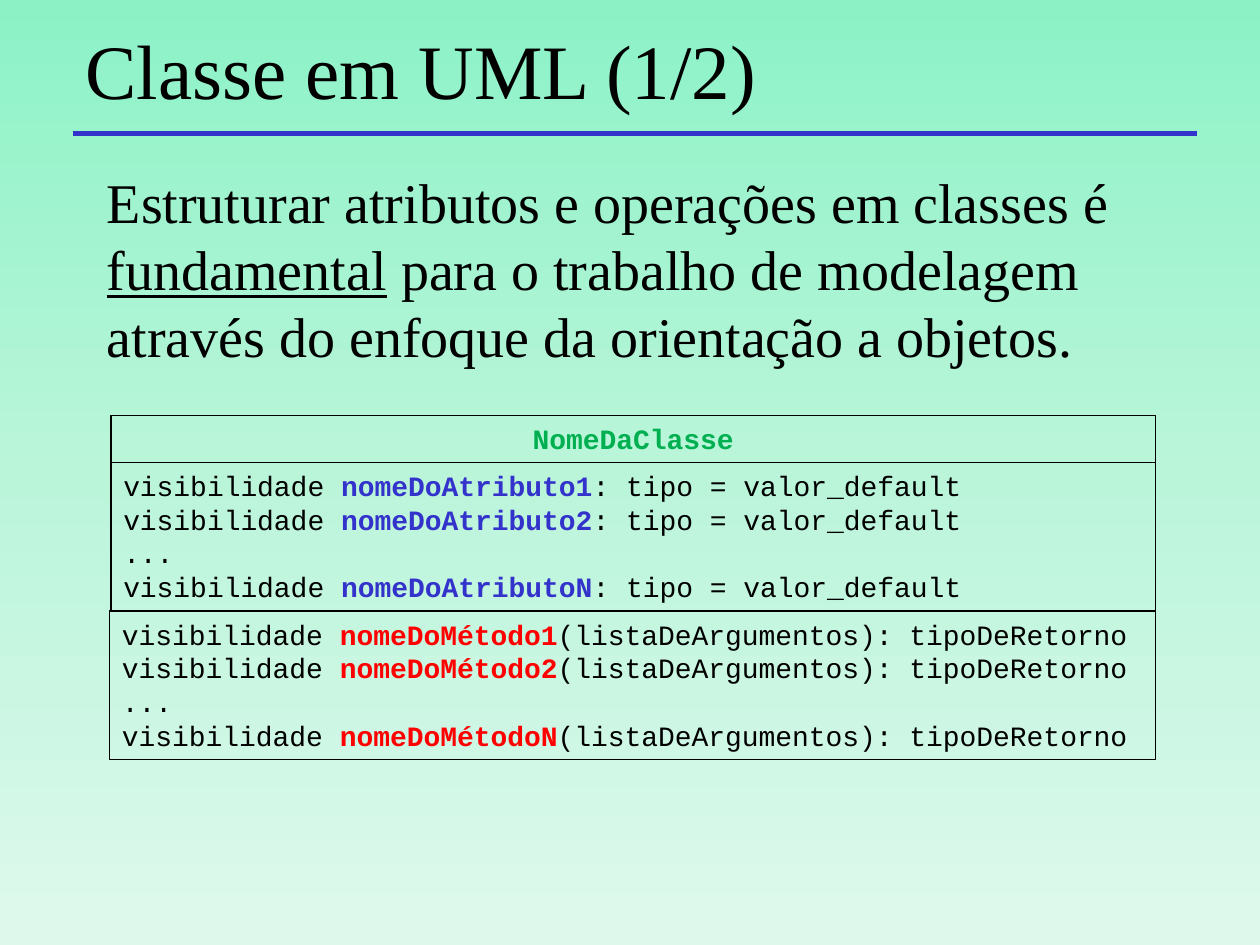
import copy
from dataclasses import dataclass

import pptx
import pptx.util
from pptx.dml.color import RGBColor
from pptx.enum.shapes import MSO_CONNECTOR, MSO_SHAPE
from pptx.enum.text import MSO_ANCHOR, PP_ALIGN
from pptx.oxml.ns import qn
from lxml import etree


@dataclass(frozen=True)
class Theme:
    serif: str = "Times New Roman"
    mono: str = "Courier New"
    title: int = 44
    body: int = 32
    code: int = 16
    ink: str = "000000"
    blue: str = "3333CC"
    green: str = "00B050"
    red: str = "FF0000"
    gradient: tuple = ((0, "8CF2C6"), (0.5, "BAF5DA"), (1, "DEF9EC"))


class Deck:
    """Places elements on a grid of 100 columns by 75 rows."""

    COLS, ROWS = 100, 75

    def __init__(self, theme):
        self.theme = theme
        self.prs = pptx.Presentation()
        self.prs.slide_width = pptx.util.Inches(10)
        self.prs.slide_height = pptx.util.Inches(7.5)
        self.s = None

    def x(self, cols):
        return round(self.prs.slide_width * cols / self.COLS)

    def y(self, rows):
        return round(self.prs.slide_height * rows / self.ROWS)

    def box(self, left, top, width, height):
        return self.x(left), self.y(top), self.x(width), self.y(height)

    def slide(self):
        self.s = self.prs.slides.add_slide(self.prs.slide_layouts[6])
        fill = self.s.background.fill
        fill.gradient()
        fill.gradient_angle = 270
        stops = fill._fill._gradFill.find(qn("a:gsLst"))
        stops.append(copy.deepcopy(stops[-1]))
        for stop, (position, color) in zip(fill.gradient_stops, self.theme.gradient):
            stop.position = position
            stop.color.rgb = RGBColor.from_string(color)

    def rule(self, left, right, row, color, width):
        line = self.s.shapes.add_connector(
            MSO_CONNECTOR.STRAIGHT, self.x(left), self.y(row), self.x(right), self.y(row))
        line.line.color.rgb = RGBColor.from_string(color)
        line.line.width = pptx.util.Pt(width)
        etree.SubElement(line._element.spPr, qn("a:effectLst"))

    def fill_text(self, sp, paragraphs, base, align=PP_ALIGN.LEFT, **frame):
        """Each paragraph is a list of (text, format values) runs."""
        tf = sp.text_frame
        for name, value in {"word_wrap": True, **frame}.items():
            setattr(tf, name, value)
        for i, runs in enumerate(paragraphs):
            p = tf.paragraphs[0] if i == 0 else tf.add_paragraph()
            p.alignment = align
            for text, extra in runs:
                r = p.add_run()
                r.text = text
                values = {"color": self.theme.ink, **base, **extra}
                r.font.color.rgb = RGBColor.from_string(values.pop("color"))
                for name, value in values.items():
                    setattr(r.font, name, value)

    def text(self, place, paragraphs, size, **frame):
        sp = self.s.shapes.add_textbox(*self.box(*place))
        base = {"name": self.theme.serif, "size": pptx.util.Pt(size)}
        self.fill_text(sp, paragraphs, base, **frame)

    def compartment(self, group, place, paragraphs, **frame):
        sp = group.shapes.add_shape(MSO_SHAPE.RECTANGLE, *self.box(*place))
        sp.shadow.inherit = False
        sp.fill.background()
        sp.line.color.rgb = RGBColor.from_string(self.theme.ink)
        sp.line.width = pptx.util.Pt(0.75)
        base = {"name": self.theme.mono, "size": pptx.util.Pt(self.theme.code)}
        self.fill_text(sp, paragraphs, base, vertical_anchor=MSO_ANCHOR.TOP, **frame)


def members(stem, color, ending):
    """Lines for members 1, 2, ... N of a class."""
    lines = [[("visibilidade ", {}),
              (stem + suffix, {"color": color, "bold": True}),
              (ending, {})] for suffix in "12N"]
    lines.insert(2, [("...", {})])
    return lines


def main():
    theme = Theme()
    deck = Deck(theme)
    deck.slide()

    # Title and its rule
    deck.rule(5.8, 95, 10.6, theme.blue, 3)
    deck.text((5.8, 1.7, 85, 7.5), [[("Classe em UML (1/2)", {})]], theme.title,
              vertical_anchor=MSO_ANCHOR.MIDDLE)

    # UML class: name, attributes, methods
    uml = deck.s.shapes.add_group_shape()
    left, top, width, name_rows, member_rows = 8.8, 33, 82.9, 3.7, 11.8
    deck.compartment(uml, (left, top, width, name_rows),
                     [[("NomeDaClasse", {"color": theme.green, "bold": True})]],
                     align=PP_ALIGN.CENTER)
    top += name_rows
    deck.compartment(uml, (left, top, width, member_rows),
                     members("nomeDoAtributo", theme.blue, ": tipo = valor_default"))
    top += member_rows
    deck.compartment(uml, (left - 0.1, top, width + 0.1, member_rows),
                     members("nomeDoMétodo", theme.red,
                             "(listaDeArgumentos): tipoDeRetorno"),
                     word_wrap=False)

    # Statement
    deck.text((7.5, 12.8, 85, 16.1), [[
        ("Estruturar atributos e operações em classes é ", {}),
        ("fundamental", {"underline": True}),
        (" para o trabalho de modelagem através do enfoque da orientação a objetos.", {}),
    ]], theme.body)

    deck.prs.save("out.pptx")


if __name__ == "__main__":
    main()
